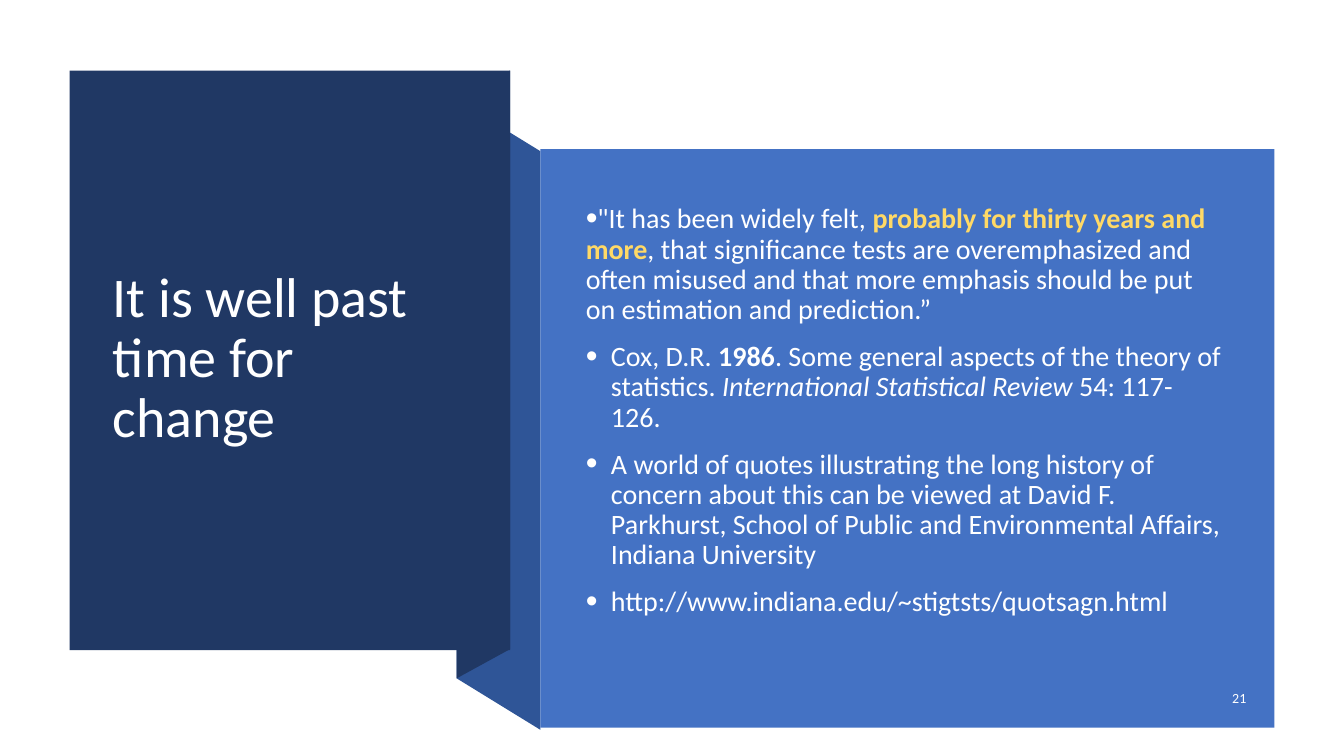
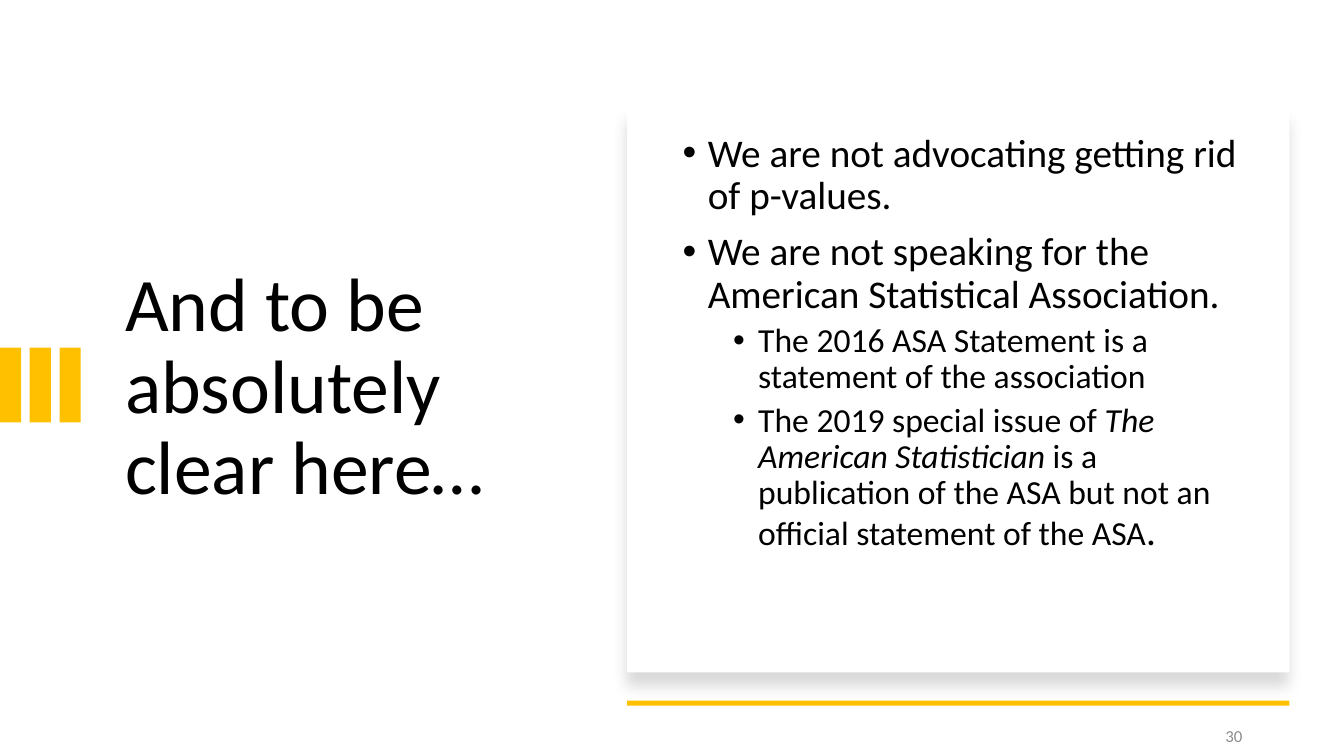
from lxml.etree import SubElement as sub_element
from pptx import Presentation
from pptx.dml.color import RGBColor
from pptx.enum.shapes import MSO_SHAPE
from pptx.enum.text import MSO_ANCHOR as ANCHOR, MSO_AUTO_SIZE as AUTO_SIZE, PP_ALIGN as ALIGN
from pptx.oxml.ns import qn
from pptx.util import Inches, Pt

COLORS = {
    "white": "FFFFFF",
    "black": "000000",
    "navy": "203864",
    "fold": "2F5597",
    "blue": "4472C4",
    "highlight": "FFD966",
    "amber": "FFC000",
    "gray": "8C8C8C",
}
FONT = "Calibri"
INDENT = 0.25


def rgb(name):
    return RGBColor.from_string(COLORS[name])


def paint(shape, color):
    shape.shadow.inherit = False
    shape.fill.solid()
    shape.fill.fore_color.rgb = rgb(color)
    shape.line.fill.background()
    return shape


def add_rectangle(slide, box, color):
    lengths = [Inches(value) for value in box]
    return paint(slide.shapes.add_shape(MSO_SHAPE.RECTANGLE, *lengths), color)


def add_polygon(slide, points, color):
    corners = [(Inches(x), Inches(y)) for x, y in points]
    builder = slide.shapes.build_freeform(*corners[0])
    builder.add_line_segments(corners[1:], close=True)
    return paint(builder.convert_to_shape(), color)


def add_soft_shadow(shape):
    effects = shape.element.spPr.find(qn("a:effectLst"))
    shadow = sub_element(effects, qn("a:outerShdw"), blurRad=str(Pt(11)),
                         dist=str(Pt(10)), dir="5400000", algn="t", rotWithShape="0")
    color = sub_element(shadow, qn("a:srgbClr"), val=COLORS["black"])
    sub_element(color, qn("a:alpha"), val="15000")


def place(shape, box):
    shape.left, shape.top, shape.width, shape.height = [Inches(value) for value in box]
    frame = shape.text_frame
    frame.word_wrap = True
    frame.auto_size = AUTO_SIZE.NONE
    frame.vertical_anchor = ANCHOR.MIDDLE
    return frame


def set_bullet(paragraph, margin, percent):
    properties = paragraph._p.get_or_add_pPr()
    properties.set("marL", str(Inches(margin)))
    properties.set("indent", str(Inches(-INDENT)))
    sub_element(properties, qn("a:buSzPct"), val=str(percent * 1000))
    sub_element(properties, qn("a:buFont"), typeface="Arial")
    sub_element(properties, qn("a:buChar"), char="•")


def write(paragraph, runs, size, color, align=ALIGN.LEFT, before=0, spacing=0.9,
          margin=None, bullet_percent=100):
    if margin is not None:
        set_bullet(paragraph, margin, bullet_percent)
    paragraph.alignment = align
    paragraph.line_spacing = spacing
    paragraph.space_before = Pt(before)
    for text, style in ([(runs, {})] if isinstance(runs, str) else runs):
        run = paragraph.add_run()
        run.text = text
        run.font.name = FONT
        run.font.size = Pt(style.get("size", size))
        run.font.bold = style.get("bold", False)
        run.font.italic = style.get("italic", False)
        run.font.color.rgb = rgb(style.get("color", color))


def bring_to_front(shape):
    shape.element.getparent().append(shape.element)


def add_title(slide, box, text, size, color):
    title = slide.shapes.title
    bring_to_front(title)
    write(place(title, box).paragraphs[0], text, size, color)


def add_list(slide, box, items, color):
    body = slide.placeholders[1]
    bring_to_front(body)
    frame = place(body, box)
    for index, (runs, level, style) in enumerate(items):
        paragraph = frame.add_paragraph() if index else frame.paragraphs[0]
        paragraph.level = level
        before = style["before"] if index else 0
        write(paragraph, runs, color=color, **{**style, "before": before})


def add_slide_number(slide, box, number, size, color):
    frame = place(slide.shapes.add_textbox(0, 0, 0, 0), box)
    write(frame.paragraphs[0], number, size, color, align=ALIGN.RIGHT, spacing=1)


def add_title_panel(slide, box, text):
    left, top, width, height = box
    add_rectangle(slide, box, "navy")
    add_title(slide, (left + 0.33, top + 0.37, width - 0.66, height - 0.76), text, 40, "white")


def add_fold(slide, box):
    left, top, width, height = box
    right, bottom, slant = left + width, top + height, 0.51
    add_polygon(slide, [(right, bottom), (left, bottom - slant), (left, top),
                        (right, top + slant)], "fold")
    edge, rise = left + 0.53, 0.29
    add_polygon(slide, [(edge, bottom - slant - rise), (left, bottom - slant),
                        (left, top), (edge, top - rise)], "navy")


def add_quote_panel(slide, box, items, number):
    left, top, width, height = box
    add_rectangle(slide, box, "blue")
    add_list(slide, (left + 0.35, top + 0.4, 6.51, 4.4), items, "white")
    add_slide_number(slide, (left + width - 0.93, top + height - 0.47, 0.75, 0.35),
                     number, 10, "white")


def add_side_bars(slide, box):
    left, top, width, height = box
    bar_width = 0.21
    step = (width - bar_width) / 2
    for index in range(3):
        add_rectangle(slide, (left + index * step, top, bar_width, height), "amber")


def add_card(slide, box, items, number):
    left, top, width, height = box
    add_soft_shadow(add_rectangle(slide, box, "white"))
    add_list(slide, (left + 0.45, top - 0.46, 5.71, height), items, "black")
    add_rectangle(slide, (left, top + height + 0.28, width, 0.05), "amber")
    add_slide_number(slide, (left + width - 1.56, top + height + 0.43, 1.19, 0.4),
                     number, 12, "gray")


def build_quote_slide(slide):
    quote = {"size": 20, "before": 12, "margin": 0, "bullet_percent": 120}
    point = {**quote, "margin": INDENT}
    items = [
        ([('"It has been widely felt, ', {}),
          ("probably for thirty years and more", {"bold": True, "color": "highlight"}),
          (", that significance tests are overemphasized and often misused and that more "
           "emphasis should be put on estimation and prediction.”", {})], 0, quote),
        ([("Cox, D.R. ", {}), ("1986", {"bold": True}),
          (". Some general aspects of the theory of statistics. ", {}),
          ("International Statistical Review", {"italic": True}),
          (" 54: 117-126.", {})], 1, point),
        ("A world of quotes illustrating the long history of concern about this can be "
         "viewed at David F. Parkhurst, School of Public and Environmental Affairs, "
         "Indiana University", 1, point),
        ("http://www.indiana.edu/~stigtsts/quotsagn.html", 1, point),
    ]
    add_fold(slide, (4.53, 0.99, 0.83, 6.25))
    add_title_panel(slide, (0.69, 0.7, 4.37, 5.75), "It is well past time for change")
    add_quote_panel(slide, (5.36, 1.48, 7.28, 5.74), items, "21")


def build_clarity_slide(slide):
    point = {"size": 28, "before": 10, "margin": INDENT}
    detail = {"size": 24, "before": 5, "margin": 3 * INDENT}
    items = [
        ("We are not advocating getting rid of p-values.", 0, point),
        ("We are not speaking for the American Statistical Association.", 0, point),
        ("The 2016 ASA Statement is a statement of the association", 1, detail),
        ([("The 2019 special issue of ", {}),
          ("The American Statistician", {"italic": True}),
          (" is a publication of the ASA but not an official statement of the ASA", {}),
          (".", {"size": 28})], 1, detail),
    ]
    add_title(slide, (1.14, 1.5, 4.26, 4.71), "And to be absolutely clear here…", 54, "black")
    add_side_bars(slide, (0, 3.45, 0.8, 0.74))
    add_card(slide, (6.22, 1.07, 6.57, 5.6), items, "30")


def main():
    presentation = Presentation()
    presentation.slide_width = Inches(13.33)
    presentation.slide_height = Inches(7.5)
    for build in (build_quote_slide, build_clarity_slide):
        build(presentation.slides.add_slide(presentation.slide_layouts[1]))
    presentation.save("out.pptx")


if __name__ == "__main__":
    main()
